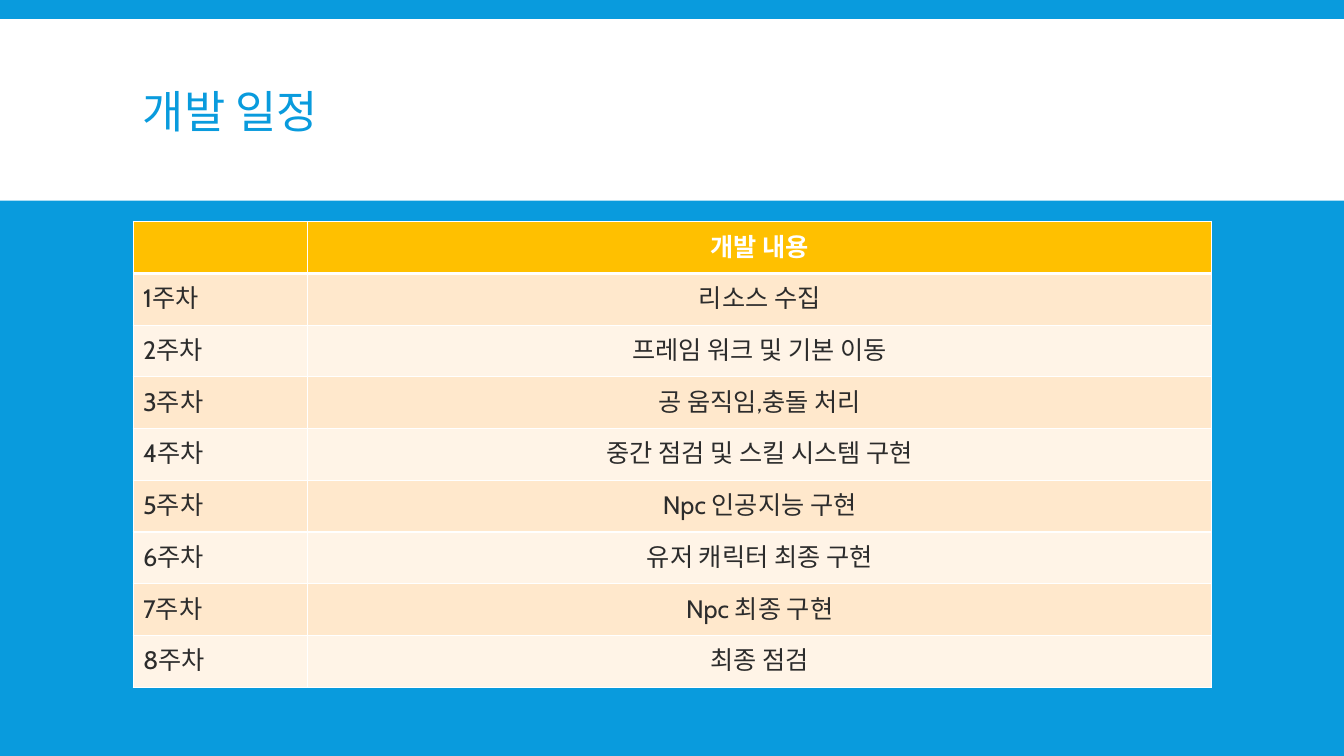
from lxml.etree import SubElement
from pptx import Presentation
from pptx.dml.color import RGBColor
from pptx.enum.shapes import MSO_SHAPE
from pptx.enum.text import MSO_ANCHOR, PP_ALIGN
from pptx.oxml.ns import qn
from pptx.util import Inches, Pt

BLUE = RGBColor(0x09, 0x9B, 0xDD)
WHITE = RGBColor(0xFF, 0xFF, 0xFF)
AMBER = RGBColor(0xFF, 0xC0, 0x00)
PEACH = RGBColor(0xFF, 0xE8, 0xCC)
CREAM = RGBColor(0xFF, 0xF4, 0xE7)
INK = RGBColor(0x2C, 0x2C, 0x2C)
FONT = "Cabin"

TASKS = [
    "리소스 수집",
    "프레임 워크 및 기본 이동",
    "공 움직임,충돌 처리",
    "중간 점검 및 스킬 시스템 구현",
    "Npc 인공지능 구현",
    "유저 캐릭터 최종 구현",
    "Npc 최종 구현",
    "최종 점검",
]
SCHEDULE = [("", "개발 내용")] + [
    (f"{week}주차", task) for week, task in enumerate(TASKS, 1)
]


def style_paragraph(paragraph, size, color, bold=False):
    """Set the font of a whole paragraph."""
    font = paragraph.font
    font.name, font.size, font.bold = FONT, Pt(size), bold
    font.color.rgb = color


def add_title_band(slide, left, top, width, height, title):
    """Draw the white band with the title inside it."""
    band = slide.shapes.add_shape(
        MSO_SHAPE.RECTANGLE, Inches(left), Inches(top), Inches(width), Inches(height)
    )
    band.shadow.inherit = False
    band.fill.solid()
    band.fill.fore_color.rgb = WHITE
    band.line.fill.background()

    heading = slide.shapes.add_textbox(
        Inches(left + 1.32), Inches(top + 0.12), Inches(10.7), Inches(1.65)
    ).text_frame
    heading.word_wrap = True
    heading.vertical_anchor = MSO_ANCHOR.MIDDLE
    paragraph = heading.paragraphs[0]
    paragraph.text = title
    paragraph.line_spacing = 0.85
    style_paragraph(paragraph, 32, BLUE)


def set_borders(cell, top, bottom):
    """Give a cell white borders, with the top and bottom widths in points."""
    properties = cell._tc.get_or_add_tcPr()
    for side, points in (("L", 1), ("R", 1), ("T", top), ("B", bottom)):
        line = SubElement(properties, qn(f"a:ln{side}"), w=str(Pt(points)))
        fill = SubElement(line, qn("a:solidFill"))
        SubElement(fill, qn("a:srgbClr"), val=str(WHITE))


def add_schedule(slide, left, top, width, height, rows):
    """Draw the weekly schedule table with a header and banded rows."""
    table = slide.shapes.add_table(
        len(rows), 2, Inches(left), Inches(top), Inches(width), Inches(height)
    ).table
    week_width = 1.73
    table.columns[0].width = Inches(week_width)
    table.columns[1].width = Inches(width - week_width)
    for row, texts in enumerate(rows):
        table.rows[row].height = Inches(height / len(rows))
        header = row == 0
        background = AMBER if header else (CREAM, PEACH)[row % 2]
        for column, text in enumerate(texts):
            cell = table.cell(row, column)
            set_borders(cell, 3 if row == 1 else 1, 3 if header else 1)
            cell.fill.solid()
            cell.fill.fore_color.rgb = background
            paragraph = cell.text_frame.paragraphs[0]
            paragraph.text = text
            paragraph.alignment = PP_ALIGN.CENTER if column else PP_ALIGN.LEFT
            style_paragraph(paragraph, 18, WHITE if header else INK, header)


def main():
    """Build the schedule slide and save it."""
    presentation = Presentation()
    presentation.slide_width = Inches(13.33)
    presentation.slide_height = Inches(7.5)
    slide = presentation.slides.add_slide(presentation.slide_layouts[6])
    slide.background.fill.solid()
    slide.background.fill.fore_color.rgb = BLUE
    add_title_band(slide, 0, 0.19, 13.33, 1.8, "개발 일정")
    add_schedule(slide, 1.32, 2.2, 10.7, 4.62, SCHEDULE)
    presentation.save("out.pptx")


if __name__ == "__main__":
    main()
